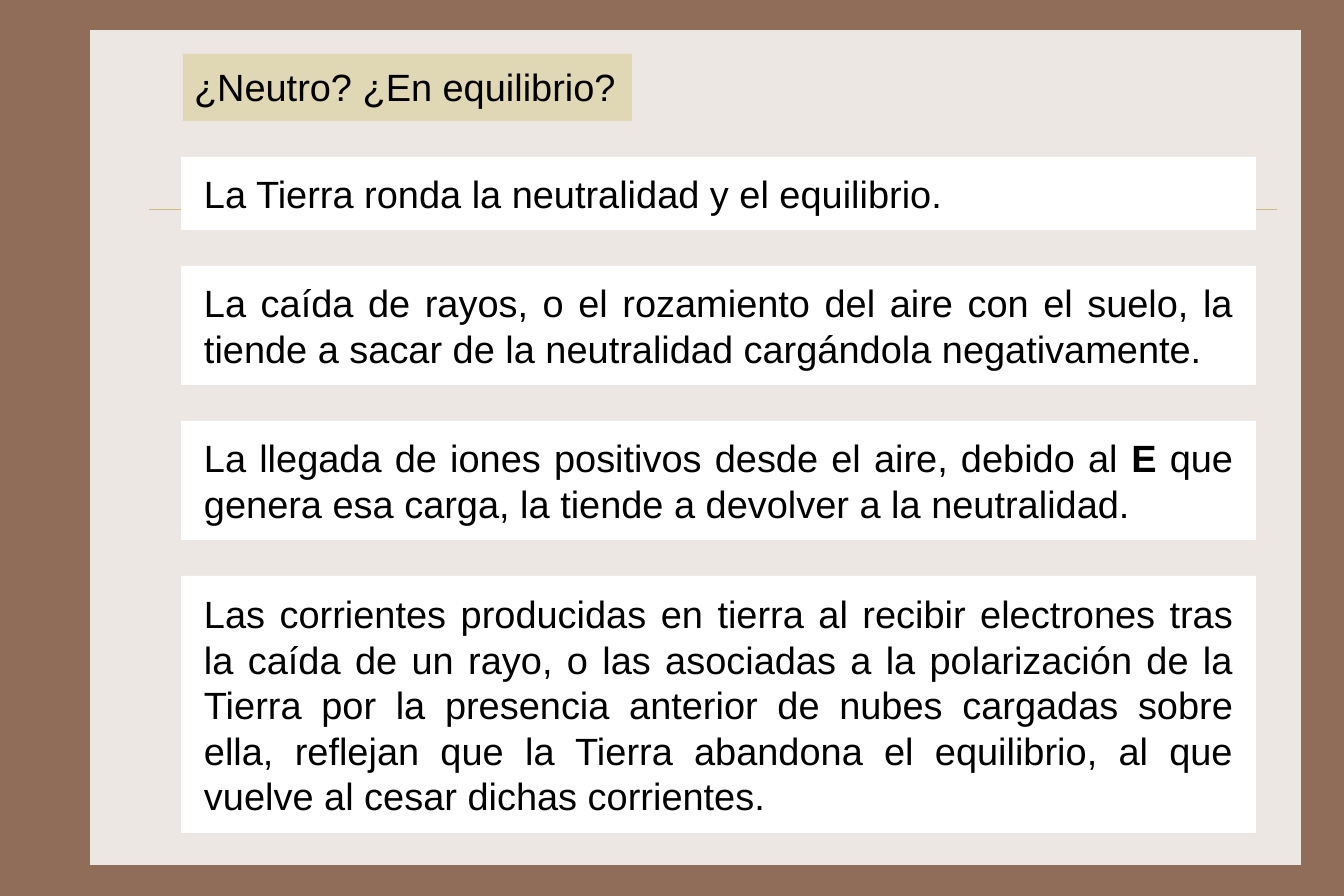
import pptx
import pptx.dml.color
import pptx.enum.shapes
import pptx.enum.text
import pptx.oxml.ns
import pptx.util
from lxml import etree

EMU_PER_PX = 8035
BOX_LEFT, BOX_TOP, BOX_WIDTH, BOX_GAP = 181, 157, 1075, 36

STATEMENTS = [
    (73, ["La Tierra ronda la neutralidad y el equilibrio."]),
    (119, ["La caída de rayos, o el rozamiento del aire con el suelo, la tiende a "
           "sacar de la neutralidad cargándola negativamente."]),
    (119, ["La llegada de iones positivos desde el aire, debido al ", "E",
           " que genera esa carga, la tiende a devolver a la neutralidad."]),
    (257, ["Las corrientes producidas en tierra al recibir electrones tras la caída "
           "de un rayo, o las asociadas a la polarización de la Tierra por la "
           "presencia anterior de nubes cargadas sobre ella, reflejan que la Tierra "
           "abandona el equilibrio, al que vuelve al cesar dichas corrientes."]),
]
BOLD_WORDS = {"E"}


def px(length):
    return pptx.util.Emu(length * EMU_PER_PX)


def set_fill(fill, color):
    fill.solid()
    fill.fore_color.rgb = pptx.dml.color.RGBColor.from_string(color)


def add_rectangle(slide, left, top, width, height, color):
    shape = slide.shapes.add_shape(
        pptx.enum.shapes.MSO_SHAPE.RECTANGLE, px(left), px(top), px(width), px(height))
    shape.shadow.inherit = False
    set_fill(shape.fill, color)
    shape.line.fill.background()
    return shape


def add_rule(slide, left, right, y, color):
    rule = slide.shapes.add_connector(
        pptx.enum.shapes.MSO_CONNECTOR.STRAIGHT, px(left), px(y), px(right), px(y))
    set_fill(rule.line.fill, color)
    rule.line.width = pptx.util.Pt(0.25)
    etree.SubElement(rule._element.spPr, pptx.oxml.ns.qn("a:effectLst"))


def write_text(shape, parts, inset_x, inset_y, alignment, anchor, wrap):
    frame = shape.text_frame
    frame.margin_left = frame.margin_right = px(inset_x)
    frame.margin_top = frame.margin_bottom = px(inset_y)
    frame.auto_size = pptx.enum.text.MSO_AUTO_SIZE.NONE
    frame.word_wrap = wrap
    frame.vertical_anchor = anchor
    paragraph = frame.paragraphs[0]
    paragraph.alignment = alignment
    paragraph.space_before = pptx.util.Pt(0)
    paragraph.font.name = "Arial"
    paragraph.font.size = pptx.util.Pt(24)
    set_fill(paragraph.font.fill, "000000")
    for part in parts:
        run = paragraph.add_run()
        run.text = part
        if part in BOLD_WORDS:
            run.font.bold = True


def place_title(slide, text):
    title = slide.shapes.title
    slide.shapes._spTree.append(title._element)
    title.left, title.top, title.width, title.height = map(px, (183, 54, 449, 67))
    set_fill(title.fill, "E0D7B5")
    write_text(title, [text], 11, 10, pptx.enum.text.PP_ALIGN.LEFT,
               pptx.enum.text.MSO_ANCHOR.TOP, False)


def add_statements(slide):
    top = BOX_TOP
    for height, parts in STATEMENTS:
        box = add_rectangle(slide, BOX_LEFT, top, BOX_WIDTH, height, "FFFFFF")
        write_text(box, parts, 23, 14, pptx.enum.text.PP_ALIGN.JUSTIFY,
                   pptx.enum.text.MSO_ANCHOR.MIDDLE, True)
        top += height + BOX_GAP


def main():
    presentation = pptx.Presentation()
    presentation.slide_width = px(1344)
    presentation.slide_height = px(896)
    slide = presentation.slides.add_slide(presentation.slide_layouts[5])
    set_fill(slide.background.fill, "906D58")
    add_rectangle(slide, 90, 30, 1211, 835, "EDE7E3")
    add_rule(slide, 149, 1277, 209, "CBBD83")
    place_title(slide, "¿Neutro? ¿En equilibrio?")
    add_statements(slide)
    presentation.save("out.pptx")


if __name__ == "__main__":
    main()
